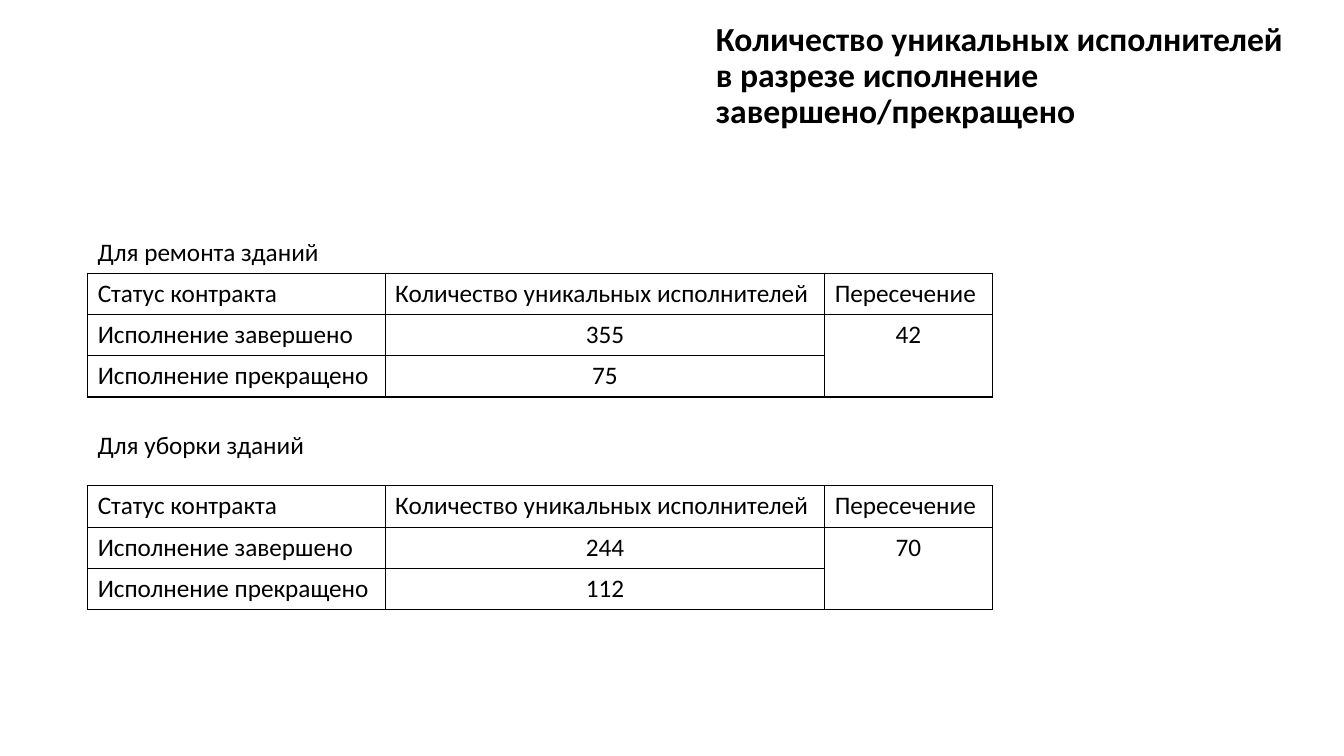
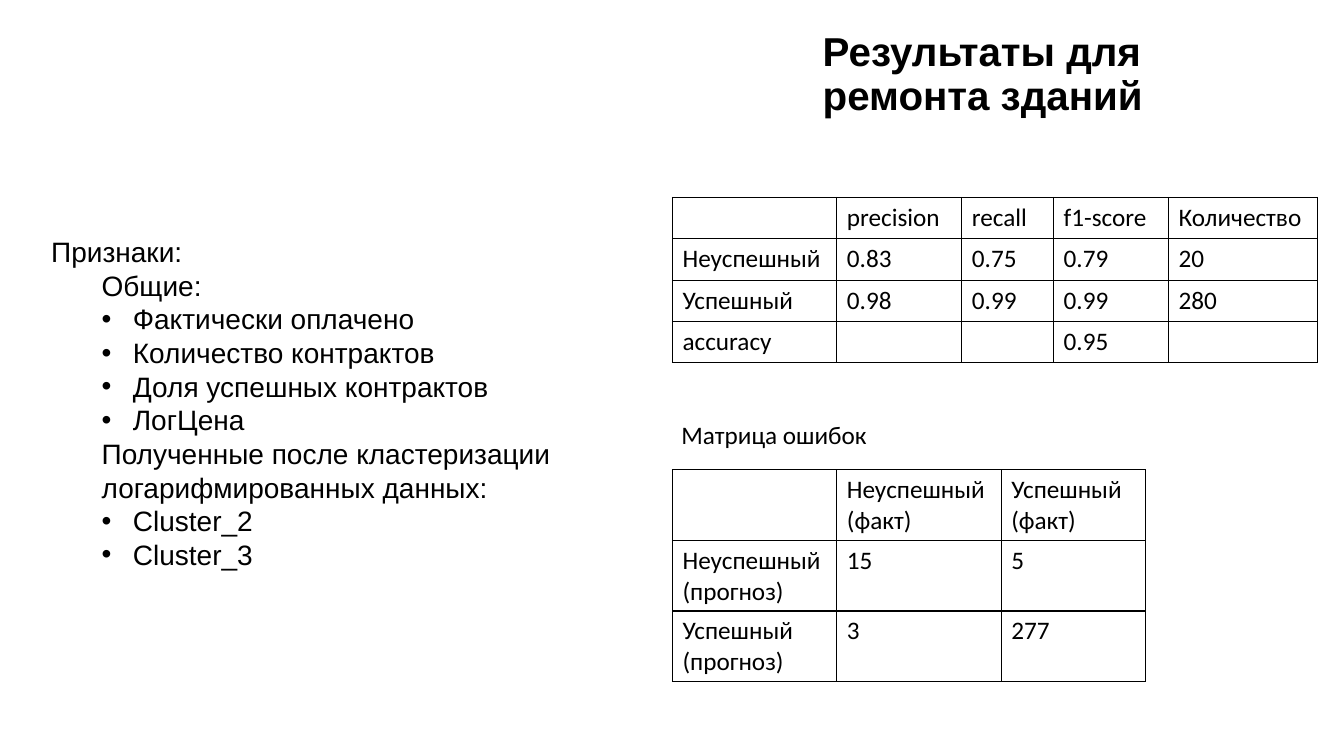
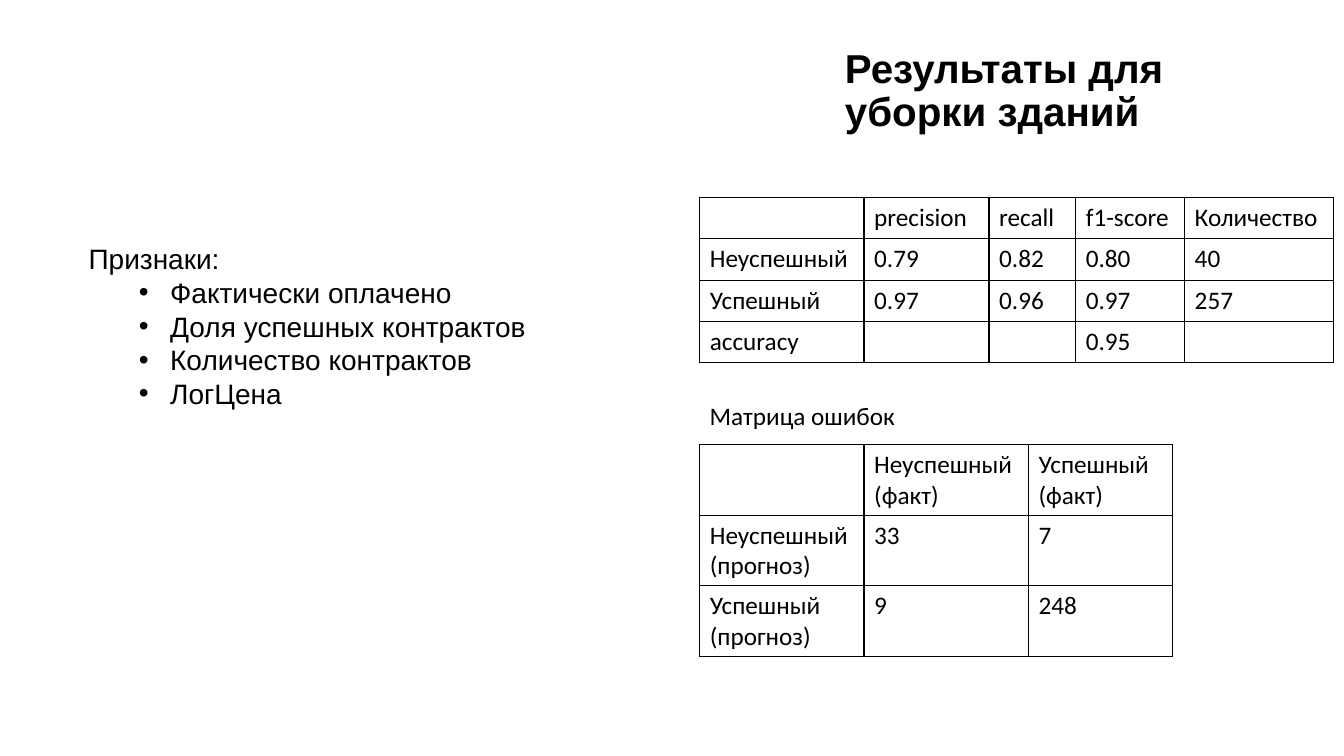
from dataclasses import dataclass

import pptx
import pptx.dml.color
import pptx.enum.text
import pptx.oxml
import pptx.oxml.ns
import pptx.presentation
import pptx.slide
import pptx.table
import pptx.text.text
import pptx.util
from pptx.util import Inches

Align = pptx.enum.text.PP_ALIGN
Anchor = pptx.enum.text.MSO_ANCHOR
AutoSize = pptx.enum.text.MSO_AUTO_SIZE


@dataclass(frozen=True)
class Theme:
    ink: str = "000000"
    heading_font: str = "Arial"
    table_font: str = "Calibri"
    count_title_size: float = 24
    result_title_size: float = 28.8
    list_size: float = 20
    table_size: float = 18
    border_points: float = 1
    row_height: float = 0.41
    two_line_row_height: float = 0.7
    caption_height: float = 0.4


THEME = Theme()


@dataclass(frozen=True)
class Box:
    left: float
    top: float
    width: float
    height: float


@dataclass(frozen=True)
class Title:
    text: str
    box: Box
    font: str = THEME.heading_font
    size: float = THEME.result_title_size
    anchor: Anchor = Anchor.MIDDLE


@dataclass(frozen=True)
class Grid:
    left: float
    top: float
    columns: tuple[float, ...]
    rows: list[list[str]]
    row_height: float = THEME.row_height


@dataclass(frozen=True)
class Feature:
    text: str
    indent: float = 0.81
    hanging: float = 0.31
    level: int = 1


@dataclass(frozen=True)
class ContractCounts:
    caption: str
    caption_top: float
    caption_width: float
    table_top: float
    completed: str
    terminated: str
    overlap: str


@dataclass(frozen=True)
class ModelResult:
    title: Title
    features: list[Feature]
    features_box: Box
    scores: Grid
    caption: Box
    matrix: Grid


# Text and tables
def add_run(paragraph: pptx.text.text._Paragraph, text: str, font: str,
            size: float, bold: bool = False) -> None:
    run = paragraph.add_run()
    run.text = text
    run.font.name = font
    run.font.size = pptx.util.Pt(size)
    run.font.bold = bold
    run.font.color.rgb = pptx.dml.color.RGBColor.from_string(THEME.ink)


def next_paragraph(frame: pptx.text.text.TextFrame, index: int) -> pptx.text.text._Paragraph:
    return frame.add_paragraph() if index else frame.paragraphs[0]


def add_titled_slide(presentation: pptx.presentation.Presentation,
                     title: Title) -> pptx.slide.Slide:
    slide = presentation.slides.add_slide(presentation.slide_layouts[5])
    shape = slide.shapes.title
    box = title.box
    shape.left, shape.top = Inches(box.left), Inches(box.top)
    shape.width, shape.height = Inches(box.width), Inches(box.height)
    frame = shape.text_frame
    frame.word_wrap = True
    frame.auto_size = AutoSize.NONE
    frame.vertical_anchor = title.anchor
    paragraph = frame.paragraphs[0]
    paragraph.alignment = Align.LEFT
    paragraph.line_spacing = 0.9
    add_run(paragraph, title.text, title.font, title.size, bold=True)
    return slide


def add_text_frame(slide: pptx.slide.Slide, box: Box) -> pptx.text.text.TextFrame:
    shape = slide.shapes.add_textbox(Inches(box.left), Inches(box.top),
                                     Inches(box.width), Inches(box.height))
    shape.text_frame.word_wrap = True
    shape.text_frame.auto_size = AutoSize.SHAPE_TO_FIT_TEXT
    return shape.text_frame


def add_caption(slide: pptx.slide.Slide, text: str, box: Box) -> None:
    frame = add_text_frame(slide, box)
    add_run(frame.paragraphs[0], text, THEME.table_font, THEME.table_size)


def add_features(slide: pptx.slide.Slide, features: list[Feature], box: Box) -> None:
    frame = add_text_frame(slide, box)
    for index, feature in enumerate(features):
        paragraph = next_paragraph(frame, index)
        paragraph.level = feature.level
        properties = paragraph._p.get_or_add_pPr()
        properties.set("marL", str(Inches(feature.indent)))
        properties.set("indent", str(-Inches(feature.hanging)))
        if feature.hanging:
            bullet_font = pptx.oxml.ns.qn("a:buFont")
            properties.makeelement(bullet_font)
            font_element = properties.makeelement(bullet_font, {"typeface": THEME.heading_font})
            bullet = properties.makeelement(pptx.oxml.ns.qn("a:buChar"), {"char": "•"})
            properties.extend([font_element, bullet])
        add_run(paragraph, feature.text, THEME.heading_font, THEME.list_size)


def format_cell(cell: pptx.table._Cell) -> None:
    properties = cell._tc.get_or_add_tcPr()
    width = pptx.util.Pt(THEME.border_points)
    for side in ("lnL", "lnR", "lnT", "lnB"):
        properties.append(pptx.oxml.parse_xml(
            f'<a:{side} {pptx.oxml.ns.nsdecls("a")} w="{width}"><a:solidFill>'
            f'<a:srgbClr val="{THEME.ink}"/></a:solidFill></a:{side}>'))
    cell.fill.background()


def add_grid(slide: pptx.slide.Slide, grid: Grid) -> pptx.table.Table:
    table = slide.shapes.add_table(
        len(grid.rows), len(grid.columns), Inches(grid.left), Inches(grid.top),
        Inches(sum(grid.columns)), Inches(grid.row_height * len(grid.rows))).table
    table.first_row = table.horz_banding = False
    for column, width in zip(table.columns, grid.columns):
        column.width = Inches(width)
    for row, texts in zip(table.rows, grid.rows):
        row.height = Inches(grid.row_height)
        for cell, text in zip(row.cells, texts):
            format_cell(cell)
            for index, line in enumerate(text.splitlines()):
                add_run(next_paragraph(cell.text_frame, index), line,
                        THEME.table_font, THEME.table_size)
    return table


# Slide kinds
def add_counts_slide(presentation: pptx.presentation.Presentation, title: Title,
                     groups: list[ContractCounts]) -> None:
    slide = add_titled_slide(presentation, title)
    left = 0.87
    for group in groups:
        add_caption(slide, group.caption, Box(left, group.caption_top, group.caption_width,
                                              THEME.caption_height))
        table = add_grid(slide, Grid(left, group.table_top, (2.95, 4.36, 1.66), [
            ["Статус контракта", "Количество уникальных исполнителей", "Пересечение"],
            ["Исполнение завершено", group.completed, group.overlap],
            ["Исполнение прекращено", group.terminated, ""],
        ]))
        table.cell(1, 2).merge(table.cell(2, 2))
        for row, column in ((1, 1), (1, 2), (2, 1)):
            table.cell(row, column).text_frame.paragraphs[0].alignment = Align.CENTER


def add_result_slide(presentation: pptx.presentation.Presentation,
                     result: ModelResult) -> None:
    slide = add_titled_slide(presentation, result.title)
    add_features(slide, result.features, result.features_box)
    add_grid(slide, result.scores)
    add_caption(slide, "Матрица ошибок", result.caption)
    add_grid(slide, result.matrix)


def scores_grid(left: float, recall_width: float, f1_width: float,
                failed: list[str], successful: list[str], accuracy: str) -> Grid:
    return Grid(left, 1.96, (1.63, 1.24, recall_width, f1_width, 1.48), [
        ["", "precision", "recall", "f1-score", "Количество"],
        ["Неуспешный", *failed],
        ["Успешный", *successful],
        ["accuracy", "", "", accuracy, ""],
    ])


def matrix_grid(left: float, top: float, failed: list[str], successful: list[str]) -> Grid:
    return Grid(left, top, (1.63, 1.63, 1.43), [
        ["", "Неуспешный\n(факт)", "Успешный\n(факт)"],
        ["Неуспешный (прогноз)", *failed],
        ["Успешный\n(прогноз)", *successful],
    ], THEME.two_line_row_height)


def heading(text: str, level: int = 1) -> Feature:
    return Feature(text, indent=0.5 * level, hanging=0, level=level)


# Content
COUNTS_TITLE = Title(
    "Количество уникальных исполнителей в разрезе исполнение завершено/прекращено",
    Box(7, 0.17, 5.96, 1.32), THEME.table_font, THEME.count_title_size, Anchor.TOP)

COUNTS = [
    ContractCounts("Для ремонта зданий", 2.3, 4.27, 2.71, "355", "75", "42"),
    ContractCounts("Для уборки зданий", 4.21, 3.58, 4.82, "244", "112", "70"),
]

RESULTS = [
    ModelResult(
        Title("Результаты для ремонта зданий", Box(8.06, 0.28, 3.44, 0.94)),
        [heading("Признаки:", 0), heading("Общие:"),
         Feature("Фактически оплачено"), Feature("Количество контрактов"),
         Feature("Доля успешных контрактов"), Feature("ЛогЦена"),
         heading("Полученные после кластеризации логарифмированных данных:"),
         Feature("Cluster_2"), Feature("Cluster_3")],
        Box(0.41, 2.28, 5.27, 3.47),
        scores_grid(6.67, 0.91, 1.14, ["0.83", "0.75", "0.79", "20"],
                    ["0.98", "0.99", "0.99", "280"], "0.95"),
        Box(6.66, 4.11, 2.72, THEME.caption_height),
        matrix_grid(6.67, 4.66, ["15", "5"], ["3", "277"])),
    ModelResult(
        Title("Результаты для уборки зданий", Box(8.28, 0.44, 3.44, 0.94)),
        [heading("Признаки:", 0), Feature("Фактически оплачено"),
         Feature("Доля успешных контрактов"), Feature("Количество контрактов"),
         Feature("ЛогЦена")],
        Box(0.78, 2.35, 5.27, 1.78),
        scores_grid(6.94, 0.86, 1.08, ["0.79", "0.82", "0.80", "40"],
                    ["0.97", "0.96", "0.97", "257"], "0.95"),
        Box(6.94, 3.92, 2.72, THEME.caption_height),
        matrix_grid(6.94, 4.41, ["33", "7"], ["9", "248"])),
]


def main() -> None:
    presentation = pptx.Presentation()
    presentation.slide_width, presentation.slide_height = Inches(13.33), Inches(7.5)
    add_counts_slide(presentation, COUNTS_TITLE, COUNTS)
    for result in RESULTS:
        add_result_slide(presentation, result)
    presentation.save("out.pptx")


if __name__ == "__main__":
    main()
